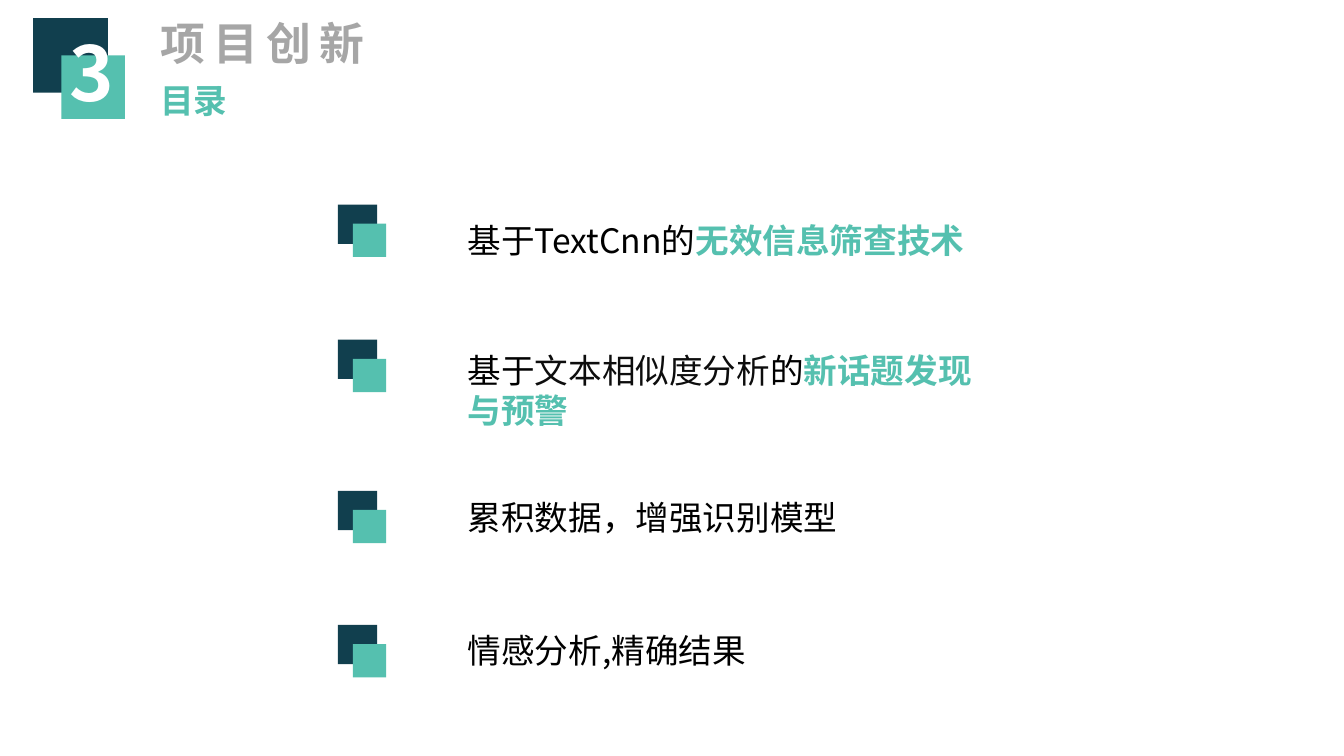
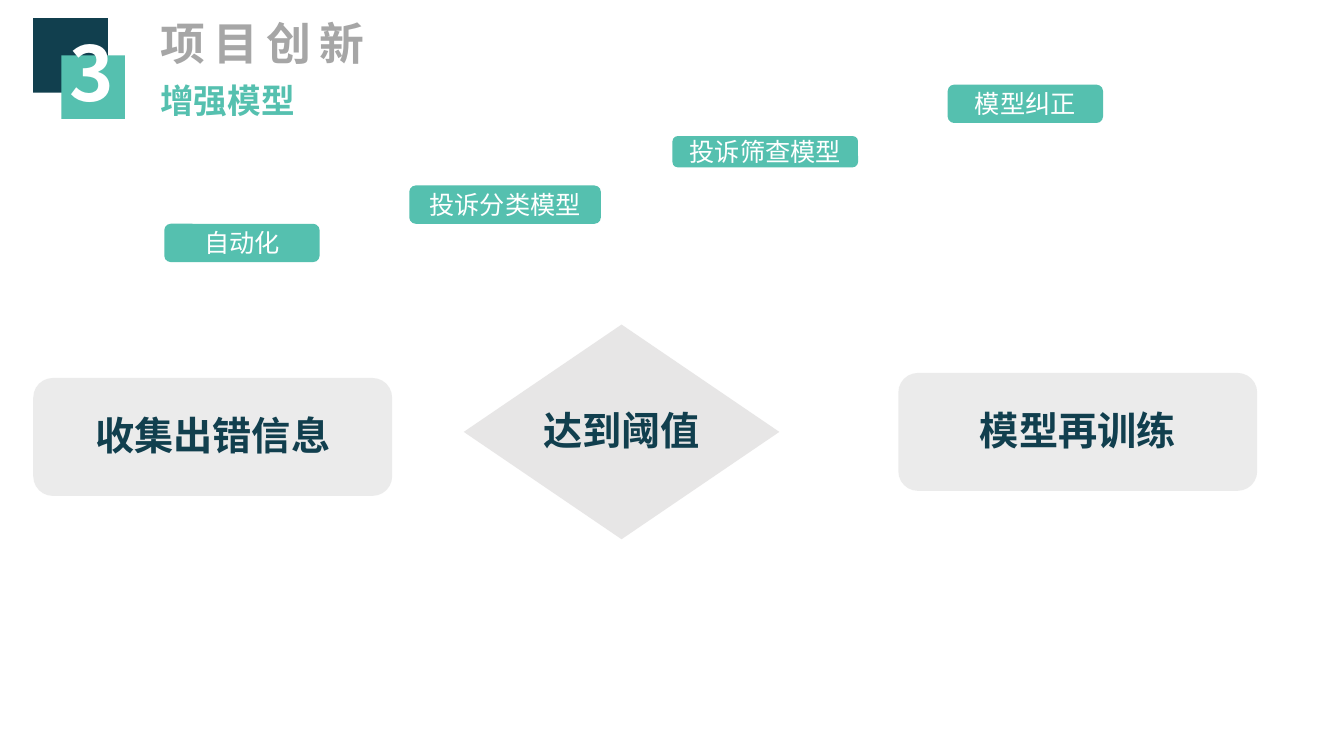
from lxml import etree
from pptx import Presentation
from pptx.dml.color import RGBColor
from pptx.enum.shapes import MSO_SHAPE
from pptx.enum.text import MSO_ANCHOR, MSO_AUTO_SIZE, PP_ALIGN
from pptx.oxml.ns import qn
from pptx.util import Inches, Pt

RECT = MSO_SHAPE.RECTANGLE
ROUNDED = MSO_SHAPE.ROUNDED_RECTANGLE
DECISION = MSO_SHAPE.FLOWCHART_DECISION
LEFT, CENTER = PP_ALIGN.LEFT, PP_ALIGN.CENTER
MIDDLE = MSO_ANCHOR.MIDDLE
GROW = MSO_AUTO_SIZE.SHAPE_TO_FIT_TEXT

FONT = "Noto Sans CJK SC"
NAVY, TEAL = "113F4E", "55C0AF"
BLACK, NEAR_BLACK, WHITE = "000000", "0D0D0D", "FFFFFF"
TITLE_GREY, PANEL_GREY, DECISION_GREY = "A6A6A6", "D9D9D9", "E7E6E6"


def paint(color_owner, hex_color):
    color_owner.solid()
    color_owner.fore_color.rgb = RGBColor.from_string(hex_color)


def place(left, top, width, height):
    return [Inches(value) for value in (left, top, width, height)]


def add_block(shapes, kind, box, color, opacity=None):
    block = shapes.add_shape(kind, *place(*box))
    block.shadow.inherit = False
    paint(block.fill, color)
    block.line.fill.background()
    if opacity is not None:
        rgb = block._element.spPr.find(qn("a:solidFill"))[0]
        etree.SubElement(rgb, qn("a:alpha")).set("val", str(opacity * 1000))
    return block


def write(frame, runs, size, bold=None, align=LEFT, spacing=None):
    paragraph = frame.paragraphs[0]
    paragraph.alignment = align
    font = paragraph.font
    font.name, font.size, font.bold = FONT, Pt(size), bold
    defaults = paragraph._p.pPr.find(qn("a:defRPr"))
    etree.SubElement(defaults, qn("a:ea")).set("typeface", FONT)
    if spacing is not None:
        defaults.set("spc", str(spacing * 100))
    if len({color for _, color in runs}) == 1:
        paint(font.fill, runs[0][1])
    for words, color in runs:
        run = paragraph.add_run()
        run.text = words
        if len(runs) > 1:
            paint(run.font.fill, color)
            run.font.bold = color == TEAL


def add_text(shapes, box, runs, size, wrap=True, **style):
    label = shapes.add_textbox(*place(*box))
    label.text_frame.word_wrap = wrap
    label.text_frame.auto_size = GROW
    write(label.text_frame, runs, size, **style)


def add_squares(slide, left, top, back, front, offset):
    squares = slide.shapes.add_group_shape().shapes
    add_block(squares, RECT, (left, top, back, back), NAVY)
    add_block(squares, RECT,
              (left + offset[0], top + offset[1], front, front), TEAL)
    return squares


def add_header(slide, left, top, number, title, subtitle):
    badge = add_squares(slide, left, top, 0.74, 0.63, (0.28, 0.37))
    add_text(badge, (left + 0.26, top + 0.03, 0.67, 1.01),
             [(number, WHITE)], 54, wrap=False, bold=True)
    add_text(slide.shapes, (left + 1.16, top - 0.07, 5.18, 0.64),
             [(title, TITLE_GREY)], 32, bold=True, spacing=6)
    add_text(slide.shapes, (left + 1.16, top + 0.56, 4.48, 0.5),
             [(subtitle, TEAL)], 24, bold=True)


def add_agenda_item(slide, left, top, text_drop, width, runs):
    add_squares(slide, left, top, 0.39, 0.33, (0.15, 0.19))
    add_text(slide.shapes, (left + 1.19, top + text_drop, width, 0.5), runs, 24)


def add_step(slide, kind, box, color, opacity, words):
    left, top, width, height = box
    label_width, label_height = 2.58, 0.57
    add_block(slide.shapes, kind, box, color, opacity)
    add_text(slide.shapes,
             (left + (width - label_width) / 2,
              top + (height - label_height) / 2 - 0.02,
              label_width, label_height),
             [(words, NAVY)], 28, bold=True, align=CENTER)


def add_tag(slide, box, words):
    tag = add_block(slide.shapes, ROUNDED, box, TEAL)
    tag.text_frame.word_wrap = True
    tag.text_frame.vertical_anchor = MIDDLE
    write(tag.text_frame, [(words, WHITE)], 18, align=CENTER)


def new_slide(deck, subtitle):
    slide = deck.slides.add_slide(deck.slide_layouts[6])
    add_header(slide, 0.33, 0.18, "3", "项目创新", subtitle)
    return slide


def build_agenda(deck):
    slide = new_slide(deck, "目录")
    items = [
        (2.03, 0.1, 6.24, [("基于TextCnn的", BLACK), ("无效信息筛查技术", TEAL)]),
        (3.37, 0.05, 5.24, [("基于", BLACK), ("文本相似度分析", NEAR_BLACK),
                            ("的", BLACK), ("新话题发现与预警", TEAL)]),
        (4.87, 0.01, 6.24, [("累积数据，增强识别模型", BLACK)]),
        (6.2, 0, 6.24, [("情感分析,精确结果", BLACK)]),
    ]
    for top, text_drop, width, runs in items:
        add_agenda_item(slide, 3.35, top, text_drop, width, runs)


def build_model_flow(deck):
    slide = new_slide(deck, "增强模型")
    steps = [
        (ROUNDED, (0.33, 3.75, 3.56, 1.17), PANEL_GREY, 50, "收集出错信息"),
        (DECISION, (4.6, 3.22, 3.13, 2.13), DECISION_GREY, None, "达到阈值"),
        (ROUNDED, (8.91, 3.7, 3.56, 1.17), PANEL_GREY, 50, "模型再训练"),
    ]
    for step in steps:
        add_step(slide, *step)
    tags = [
        ((1.63, 2.22, 1.54, 0.38), "自动化"),
        ((4.06, 1.84, 1.9, 0.38), "投诉分类模型"),
        ((6.67, 1.35, 1.84, 0.31), "投诉筛查模型"),
        ((9.4, 0.84, 1.54, 0.38), "模型纠正"),
    ]
    for box, words in tags:
        add_tag(slide, box, words)


def main():
    deck = Presentation()
    deck.slide_width, deck.slide_height = Inches(13.33), Inches(7.5)
    build_agenda(deck)
    build_model_flow(deck)
    deck.save("out.pptx")


if __name__ == "__main__":
    main()
